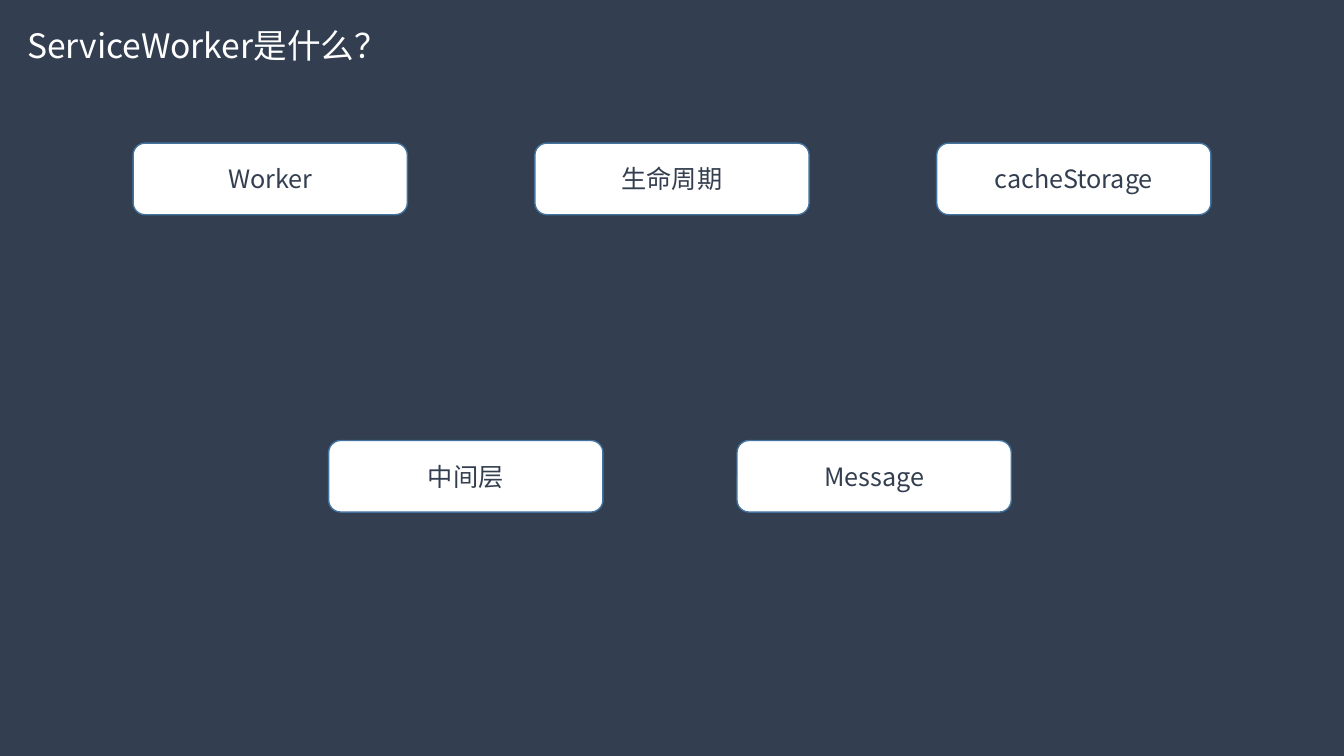
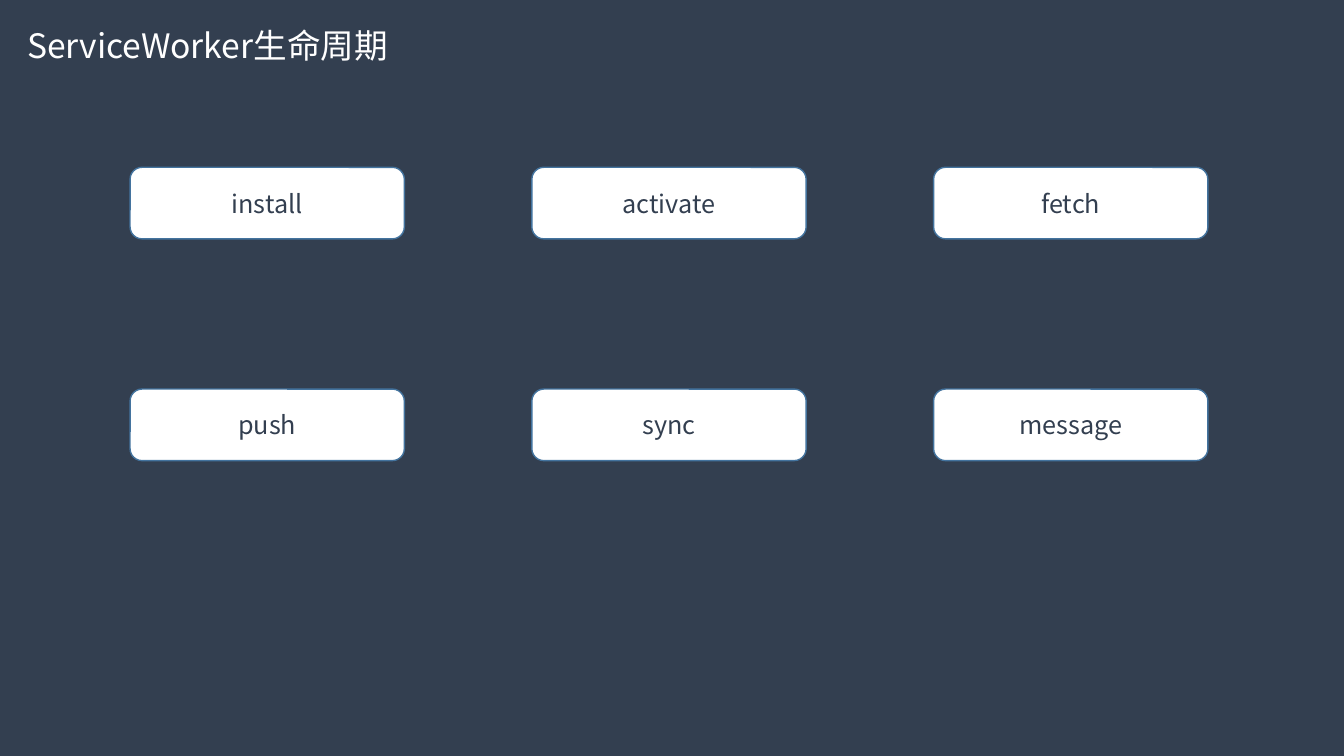
from dataclasses import dataclass

from lxml.etree import SubElement
from pptx import Presentation
from pptx.dml.color import RGBColor as RGB
from pptx.enum.shapes import MSO_SHAPE as Shape
from pptx.enum.text import MSO_ANCHOR as Anchor, MSO_AUTO_SIZE as AutoSize, PP_ALIGN as Align
from pptx.oxml.ns import qn
from pptx.util import Inches, Pt


@dataclass(frozen=True)
class Theme:
    navy: RGB = RGB(0x33, 0x3F, 0x50)
    white: RGB = RGB(0xFF, 0xFF, 0xFF)
    outline: RGB = RGB(0x43, 0x73, 0x9E)
    font: str = "Noto Sans CJK SC"
    title_size: int = 24
    card_size: int = 18


THEME = Theme()
TITLE_BOX = (0.17, 0.2, 4.04, 0.5)
CARD_W, CARD_H = 2.72, 0.71
COLUMN_PITCH = 3.985


def write(tf, text, *, size, color, align=Align.LEFT, anchor=Anchor.TOP):
    tf.word_wrap = True
    tf.vertical_anchor = anchor
    p = tf.paragraphs[0]
    p.alignment = align
    r = p.add_run()
    r.text = text
    r.font.size = Pt(size)
    r.font.color.rgb = color
    r.font.name = THEME.font
    SubElement(r._r.get_or_add_rPr(), qn("a:ea"), typeface=THEME.font)


def add_title(s, text, box):
    tf = s.shapes.add_textbox(*map(Inches, box)).text_frame
    write(tf, text, size=THEME.title_size, color=THEME.white)
    tf.auto_size = AutoSize.SHAPE_TO_FIT_TEXT


def add_card(s, text, box):
    sp = s.shapes.add_shape(Shape.ROUNDED_RECTANGLE, *map(Inches, box))
    sp.shadow.inherit = False
    sp.fill.solid()
    sp.fill.fore_color.rgb = THEME.white
    sp.line.color.rgb = THEME.outline
    sp.line.width = Pt(1)
    write(sp.text_frame, text, size=THEME.card_size, color=THEME.navy,
          align=Align.CENTER, anchor=Anchor.MIDDLE)


def add_card_row(s, labels, left, top, pitch=COLUMN_PITCH):
    for i, label in enumerate(labels):
        add_card(s, label, (left + i * pitch, top, CARD_W, CARD_H))


def add_topic_slide(prs, title, rows):
    s = prs.slides.add_slide(prs.slide_layouts[6])
    s.background.fill.solid()
    s.background.fill.fore_color.rgb = THEME.navy
    add_title(s, title, TITLE_BOX)
    for row in rows:
        add_card_row(s, *row)


prs = Presentation()
prs.slide_width, prs.slide_height = Inches(13.33), Inches(7.5)

add_topic_slide(prs, "ServiceWorker是什么？", [
    (("Worker", "生命周期", "cacheStorage"), 1.32, 1.42),
    (("中间层", "Message"), 3.26, 4.37, 4.05),
])
add_topic_slide(prs, "ServiceWorker生命周期", [
    (("install", "activate", "fetch"), 1.29, 1.66),
    (("push", "sync", "message"), 1.29, 3.86),
])

prs.save("out.pptx")
